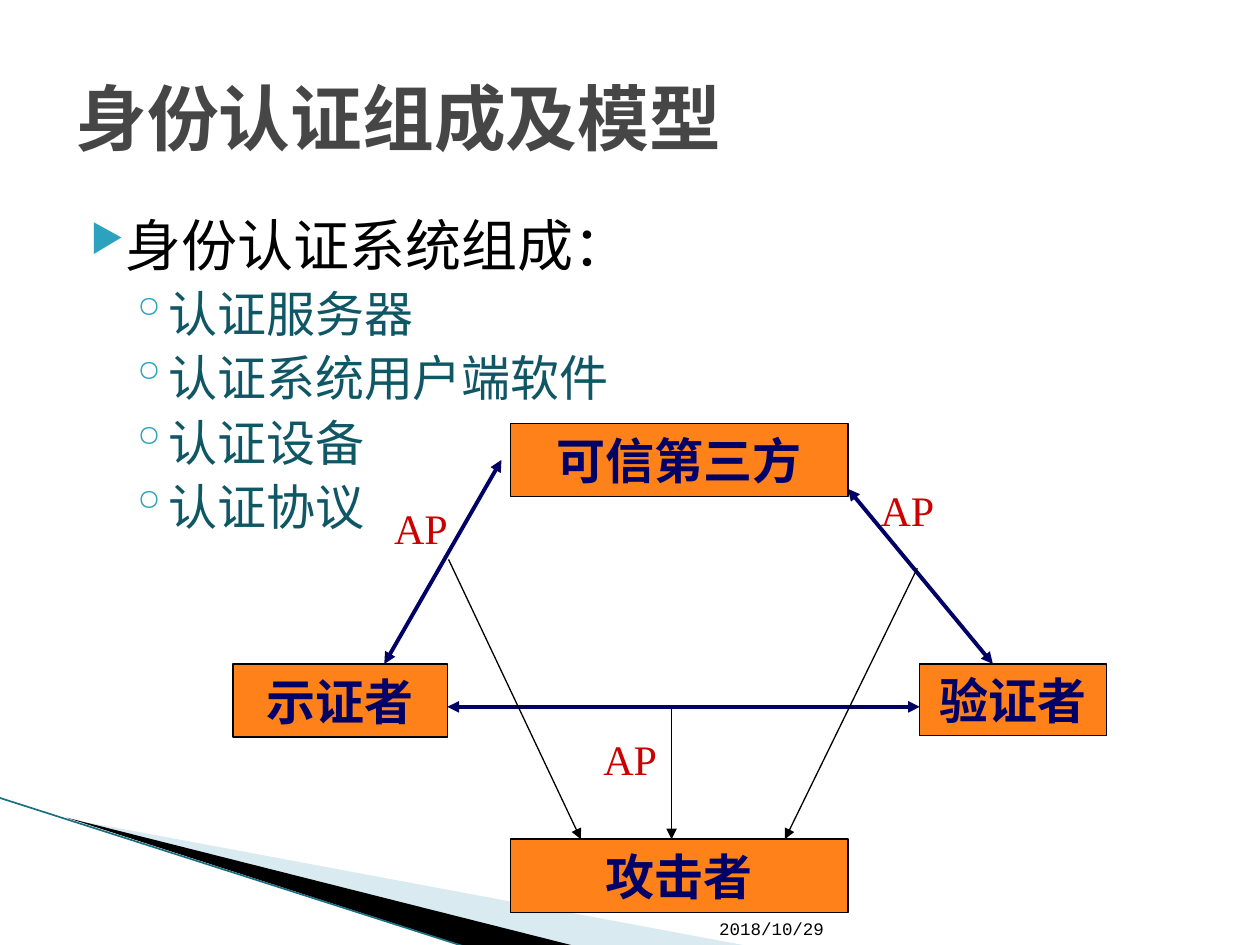
from pptx import Presentation
from pptx.dml.color import RGBColor
from pptx.enum.shapes import MSO_CONNECTOR as CONNECTOR, MSO_SHAPE as SHAPE
from pptx.enum.text import MSO_ANCHOR as ANCHOR, PP_ALIGN as ALIGN
from pptx.oxml.ns import qn
from pptx.util import Inches, Pt
from lxml.etree import SubElement

COLORS = {
    "orange": "FF8119", "navy": "000066", "red": "CC0000", "black": "000000",
    "title": "464646", "item": "105766", "bullet": "2DA2BF",
    "pale": "A0CBDC", "edge": "1B6F82",
}
SANS, SERIF = "Courier New", "Times New Roman"

# Content
TITLE = "身份认证组成及模型"
DATE = "2018/10/29"
HEADING = "身份认证系统组成："
ITEMS = ["认证服务器", "认证系统用户端软件", "认证设备", "认证协议"]
BOXES = [  # text, left, top, width, height
    ("示证者", 1.85, 5.27, 1.7, 0.58),
    ("可信第三方", 4.05, 3.36, 2.68, 0.58),
    ("验证者", 7.3, 5.27, 1.48, 0.57),
    ("攻击者", 4.05, 6.66, 2.68, 0.58),
]
EXCHANGES = [  # two-headed arrows between the parties
    (3.05, 5.27, 3.98, 3.65), (3.55, 5.61, 7.3, 5.61), (6.73, 3.88, 7.88, 5.27),
]
ATTACKS = [  # thin arrows to the attacker
    (5.33, 5.61, 5.33, 6.66), (3.56, 4.44, 4.61, 6.66), (7.28, 4.51, 6.23, 6.66),
]
LABELS = [(3.03, 3.94, 0.87), (4.69, 5.77, 1.65), (6.89, 3.8, 1.65)]
WEDGES = [  # colour, opacity in percent, corners
    ("pale", 40, [(0.55, 6.5), (5.95, 7.51), (4.56, 7.51)]),
    ("black", 100, [(0.53, 6.49), (4.57, 7.51), (3.72, 7.52)]),
]

presentation = Presentation()
presentation.slide_width, presentation.slide_height = Inches(10), Inches(7.5)
slide = presentation.slides.add_slide(presentation.slide_layouts[6])


def rgb(name):
    return RGBColor.from_string(COLORS[name])


def add_run(paragraph, text, size, font, color, bold=False):
    run = paragraph.add_run()
    run.text = text
    run.font.size, run.font.name, run.font.bold = Pt(size), font, bold
    run.font.color.rgb = rgb(color)


def add_text(left, top, width, height, anchor=ANCHOR.TOP):
    frame = slide.shapes.add_textbox(*map(Inches, (left, top, width, height))).text_frame
    frame.word_wrap = True
    frame.vertical_anchor = anchor
    return frame


def add_line(ends, color, width, arrows=()):
    line = slide.shapes.add_connector(CONNECTOR.STRAIGHT, *map(Inches, ends))
    line.line.color.rgb = rgb(color)
    line.line.width = Pt(width)
    for end in arrows:
        SubElement(line.line._get_or_add_ln(), qn(f"a:{end}"), type="triangle")
    SubElement(line._element.spPr, qn("a:effectLst"))


def add_bullet(paragraph, character, left, hanging, percent):
    properties = paragraph._p.get_or_add_pPr()
    properties.set("marL", str(Inches(left)))
    properties.set("indent", str(-Inches(hanging)))
    color = SubElement(properties, qn("a:buClr"))
    SubElement(color, qn("a:srgbClr"), val=COLORS["bullet"])
    SubElement(properties, qn("a:buSzPct"), val=str(percent * 1000))
    SubElement(properties, qn("a:buChar"), char=character)


# Corner decoration
for color, opacity, corners in WEDGES:
    points = [(Inches(x), Inches(y)) for x, y in corners]
    builder = slide.shapes.build_freeform(*points[0])
    builder.add_line_segments(points[1:], close=True)
    wedge = builder.convert_to_shape()
    wedge.shadow.inherit = False
    wedge.fill.solid()
    wedge.fill.fore_color.rgb = rgb(color)
    wedge.line.fill.background()
    if opacity < 100:
        fill_color = wedge._element.spPr.find(".//" + qn("a:srgbClr"))
        SubElement(fill_color, qn("a:alpha"), val=str(opacity * 1000))
add_line((-0.01, 6.33, 3.71, 7.52), "edge", 0.95)

# Bulleted list
body = add_text(0.5, 1.62, 9, 4.95)
heading = body.paragraphs[0]
add_bullet(heading, "▶", 0.4, 0.28, 68)
add_run(heading, HEADING, 32, SANS, "black")
for item in ITEMS:
    paragraph = body.add_paragraph()
    paragraph.level = 1
    paragraph.space_before = Pt(3.2)
    add_bullet(paragraph, "◦", 0.68, 0.25, 100)
    add_run(paragraph, item, 28, SANS, "item")

# Title and date
title = add_text(0.5, 0.3, 9, 1.25, ANCHOR.MIDDLE)
add_run(title.paragraphs[0], TITLE, 41, SANS, "title", bold=True)
date = add_text(5.61, 7.01, 1.12, 0.49, ANCHOR.BOTTOM)
add_run(date.paragraphs[0], DATE, 10, SANS, "black")

# Authentication model
for text, *place in BOXES:
    box = slide.shapes.add_shape(SHAPE.RECTANGLE, *map(Inches, place))
    box.shadow.inherit = False
    box.fill.solid()
    box.fill.fore_color.rgb = rgb("orange")
    box.line.color.rgb = rgb("black")
    box.line.width = Pt(0.75)
    box.text_frame.vertical_anchor = ANCHOR.MIDDLE
    paragraph = box.text_frame.paragraphs[0]
    paragraph.alignment = ALIGN.CENTER
    add_run(paragraph, text, 28, SERIF, "navy", bold=True)
for ends in EXCHANGES:
    add_line(ends, "navy", 2.25, ("headEnd", "tailEnd"))
for left, top, width in LABELS:
    label = add_text(left, top, width, 0.5)
    add_run(label.paragraphs[0], "AP", 24, SERIF, "red")
for ends in ATTACKS:
    add_line(ends, "black", 0.75, ("tailEnd",))

presentation.save("out.pptx")
